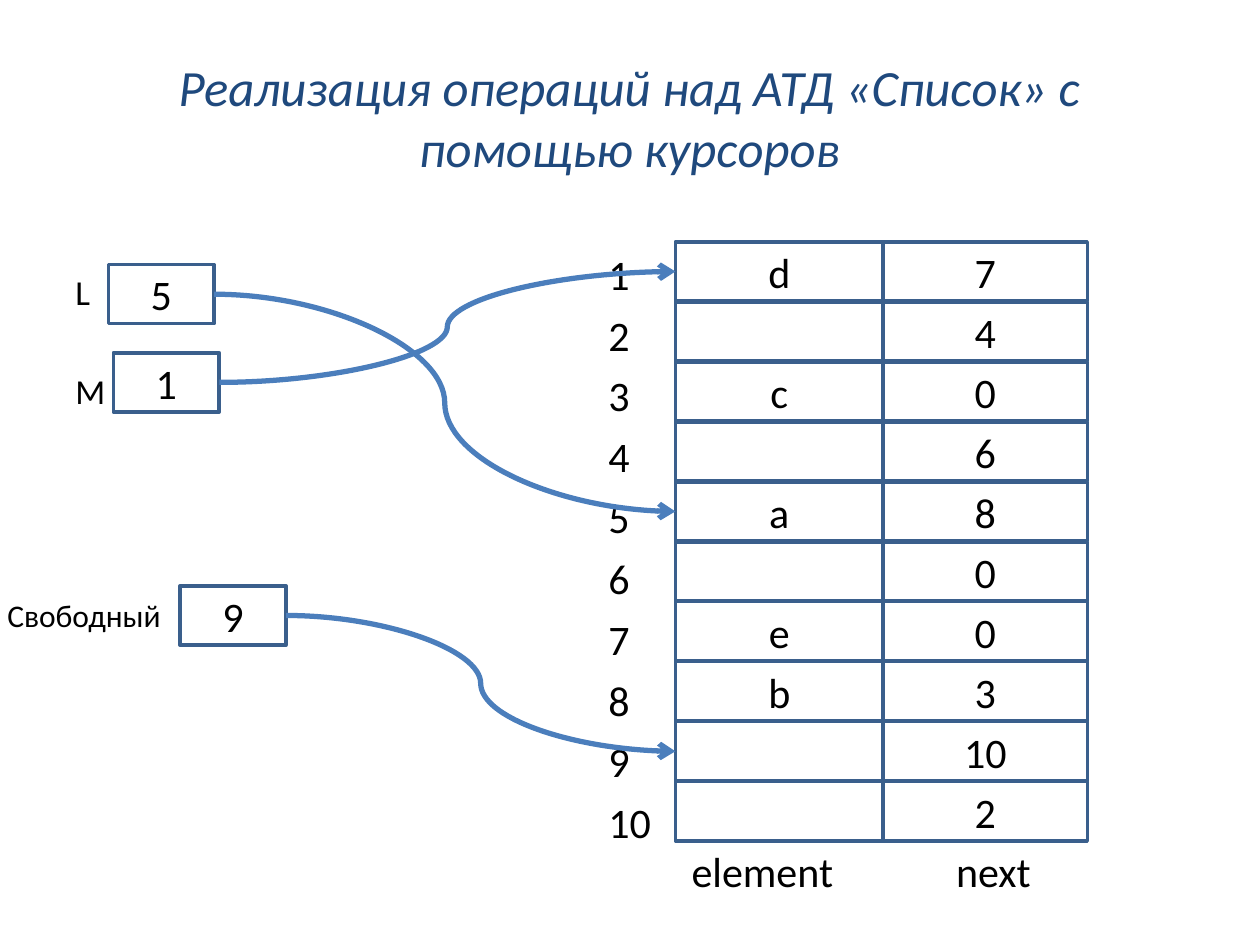
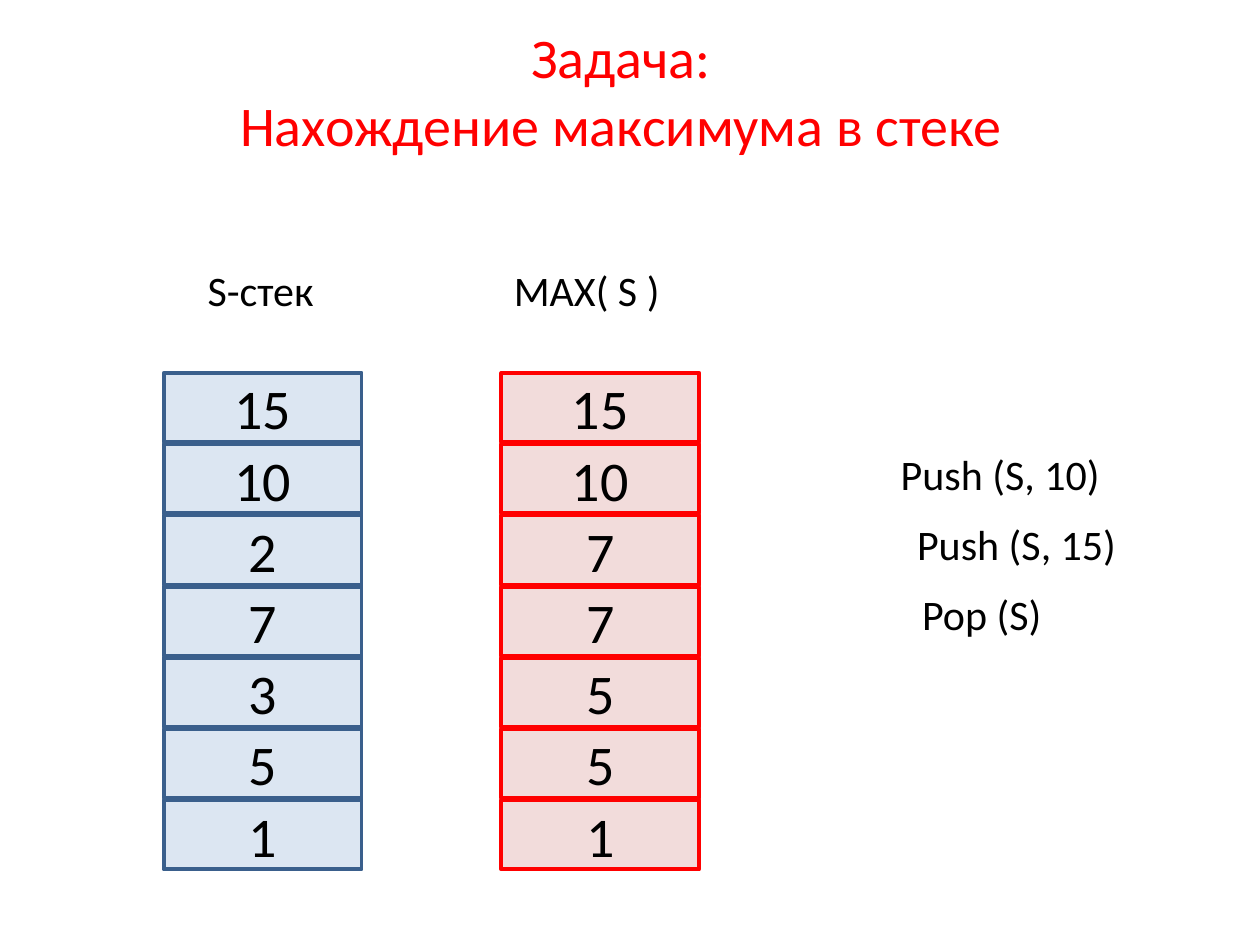
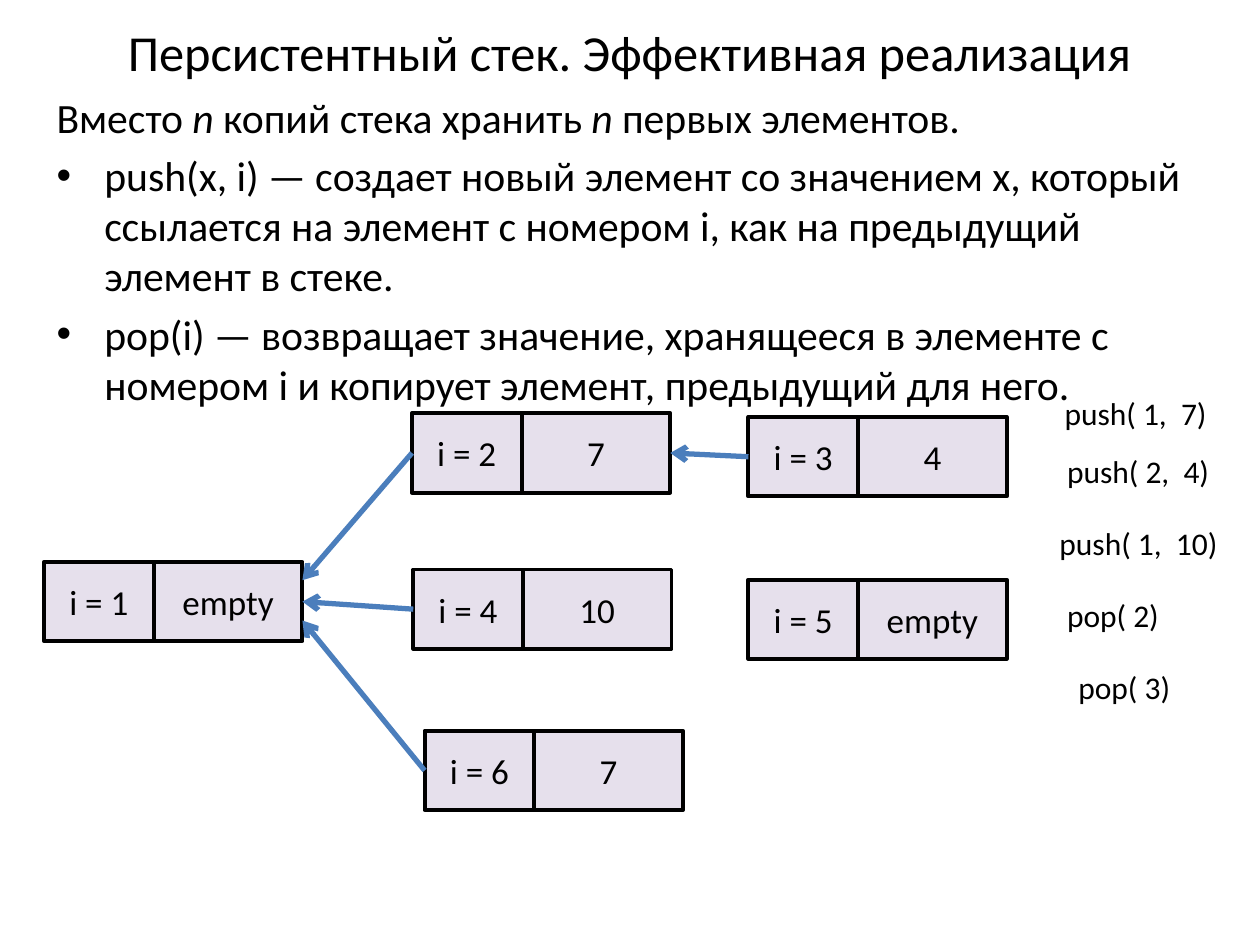
from dataclasses import dataclass

from lxml.etree import SubElement
from pptx import Presentation
from pptx.dml.color import RGBColor
from pptx.enum.shapes import MSO_CONNECTOR as Link, MSO_SHAPE as Form
from pptx.enum.text import MSO_ANCHOR as Anchor, PP_ALIGN as Align
from pptx.oxml.ns import qn
from pptx.util import Inches, Pt

FONT = "Calibri"
BLACK, NAVY, RED = "000000", "1F497D", "FF0000"
EDGE, WIRE = "3A5F8C", "4B7EBC"
ICE, ROSE, LILAC = "DCE6F2", "F2DCDB", "E6E0EC"

Point = tuple[float, float]


@dataclass(frozen=True)
class Look:
    """Outline, fill and text size of a cell."""
    line: str
    width: float
    size: float
    fill: str | None = None


@dataclass(frozen=True)
class Cell:
    x: float
    y: float
    w: float
    h: float
    text: str = ""

    @property
    def left(self) -> Point:
        return self.x, self.y + self.h / 2

    @property
    def right(self) -> Point:
        return self.x + self.w, self.y + self.h / 2


@dataclass(frozen=True)
class Label:
    x: float
    y: float
    w: float
    h: float
    text: str
    size: float


@dataclass(frozen=True)
class Node:
    """A numbered stack element: index cell plus value cell."""
    num: int
    x: float
    y: float
    value: str

    @property
    def cells(self) -> tuple[Cell, Cell]:
        return (Cell(self.x, self.y, 0.87, 0.63, f"i = {self.num}"),
                Cell(self.x + 0.87, self.y, 1.18, 0.63, self.value))


ARRAY = Look(EDGE, 2, 24)
STACK = Look(EDGE, 2.25, 32, ICE)
PEAK = Look(RED, 2.25, 32, ROSE)
NODE = Look(BLACK, 2.25, 20, LILAC)


# Shared helpers
def tint(code: str) -> RGBColor:
    return RGBColor.from_string(code)


def style(frame, size: float, color: str = BLACK, align=Align.LEFT,
          italic: bool = False) -> None:
    for para in frame.paragraphs:
        para.alignment = align
        for run in para.runs:
            run.font.name = FONT
            run.font.size = Pt(size)
            run.font.italic = italic
            run.font.color.rgb = tint(color)


def add_text(slide, label: Label):
    box = slide.shapes.add_textbox(*map(Inches, (label.x, label.y, label.w, label.h)))
    frame = box.text_frame
    frame.word_wrap = True
    frame.text = label.text
    style(frame, label.size)
    return frame


def add_title(slide, label: Label, color: str, italic: bool = False) -> None:
    frame = add_text(slide, label)
    frame.vertical_anchor = Anchor.MIDDLE
    style(frame, label.size, color, Align.CENTER, italic)


def add_cell(slide, cell: Cell, look: Look) -> None:
    box = slide.shapes.add_shape(
        Form.RECTANGLE, *map(Inches, (cell.x, cell.y, cell.w, cell.h)))
    box.shadow.inherit = False
    if look.fill:
        box.fill.solid()
        box.fill.fore_color.rgb = tint(look.fill)
    else:
        box.fill.background()
    box.line.color.rgb = tint(look.line)
    box.line.width = Pt(look.width)
    frame = box.text_frame
    frame.vertical_anchor = Anchor.MIDDLE
    frame.text = cell.text
    style(frame, look.size, align=Align.CENTER)


def add_arrow(slide, start: Point, end: Point, kind=Link.STRAIGHT) -> None:
    wire = slide.shapes.add_connector(kind, *map(Inches, (*start, *end)))
    wire.line.color.rgb = tint(WIRE)
    wire.line.width = Pt(3)
    SubElement(wire.line._get_or_add_ln(), qn("a:tailEnd"), type="arrow")
    SubElement(wire._element.spPr, qn("a:effectLst"))


# Slide 1: list kept in an array with cursors
def draw_list(slide) -> None:
    add_title(slide, Label(0.5, 0.3, 9, 1.25,
              "Реализация операций над АТД «Список» с помощью курсоров", 29),
              NAVY, italic=True)

    rows = [("d", "7"), ("", "4"), ("c", "0"), ("", "6"), ("a", "8"),
            ("", "0"), ("e", "0"), ("b", "3"), ("", "10"), ("", "2")]
    items = []
    for i, (item, link) in enumerate(rows):
        y = 1.92 + 0.476 * i
        items.append(Cell(5.36, y, 1.65, 0.47, item))
        add_cell(slide, items[-1], ARRAY)
        add_cell(slide, Cell(7.01, y, 1.62, 0.47, link), ARRAY)

    nums = "\n".join(str(i + 1) for i in range(len(rows)))
    frame = add_text(slide, Label(4.73, 1.92, 0.62, 4.9, nums, 24))
    for para in frame.paragraphs:
        para.space_before = Pt(6)

    for label in (Label(5.39, 6.66, 1.6, 0.5, "element", 24),
                  Label(7.49, 6.66, 1.2, 0.5, "next", 24),
                  Label(0.5, 2.1, 0.48, 0.44, "L", 20),
                  Label(0.5, 2.88, 0.48, 0.44, "M", 20),
                  Label(-0.04, 4.68, 1.57, 0.4, "Свободный", 18)):
        add_text(slide, label)

    # Each cursor points at the row whose number it holds
    for x, y, row in ((0.86, 2.1, 5), (0.9, 2.8, 1), (1.43, 4.65, 9)):
        head = Cell(x, y, 0.84, 0.47, str(row))
        add_cell(slide, head, ARRAY)
        add_arrow(slide, head.right, items[row - 1].left, Link.CURVE)


# Slide 2: stack and its running maximum
def draw_max(slide) -> None:
    add_title(slide, Label(0.43, 0.29, 9, 0.85,
              "Задача:\vНахождение максимума в стеке", 32), RED)

    for x, look, values in ((1.3, STACK, (15, 10, 2, 7, 3, 5, 1)),
                            (3.98, PEAK, (15, 10, 7, 7, 5, 5, 1))):
        for i, value in enumerate(values):
            add_cell(slide, Cell(x, 2.96 + 0.565 * i, 1.57, 0.55, str(value)), look)

    for x, y, text in ((1.55, 2.05, "S-стек"), (3.98, 2.05, "MAX( S )"),
                       (7.05, 3.51, "Push (S, 10)"), (7.18, 4.07, "Push (S, 15)"),
                       (7.22, 4.62, "Pop (S)")):
        add_text(slide, Label(x, y, 1.97, 0.5, text, 24))


# Slide 3: persistent stack
def add_bullet(para) -> None:
    props = para._p.get_or_add_pPr()
    props.set("marL", str(Inches(0.38)))
    props.set("indent", str(-Inches(0.38)))
    SubElement(props, qn("a:buFont"), typeface="Arial")
    SubElement(props, qn("a:buChar"), char="•")


def draw_tree(slide) -> None:
    add_title(slide, Label(0.5, 0.13, 9, 0.55,
              "Персистентный стек. Эффективная реализация", 28.8), BLACK)

    points = ("push(x, i) — создает новый элемент со значением x, который "
              "ссылается на элемент с номером i, как на предыдущий элемент в стеке.",
              "pop(i) — возвращает значение, хранящееся в элементе с номером i "
              "и копирует элемент, предыдущий для него.")
    frame = add_text(slide, Label(0.35, 0.68, 9.22, 2.2, "\n".join(("", *points)), 23.8))
    intro, *rest = frame.paragraphs
    parts = ("Вместо ", "n ", "копий стека хранить ", "n", " первых элементов.")
    for part in parts:
        intro.add_run().text = part
    style(frame, 23.8)
    for run in intro.runs[1::2]:
        run.font.italic = True
    for para in frame.paragraphs:
        para.space_before = Pt(4.8)
    for para in rest:
        add_bullet(para)

    nodes = (Node(1, 0.35, 4.46, "empty"), Node(2, 3.27, 3.28, "7"),
             Node(3, 5.94, 3.31, "4"), Node(4, 3.28, 4.52, "10"),
             Node(5, 5.94, 4.6, "empty"), Node(6, 3.37, 5.8, "7"))
    for node in nodes:
        for cell in node.cells:
            add_cell(slide, cell, NODE)

    # Links to the previous element, with a vertical shift at the tip
    for src, dest, shift in ((2, 1, -0.17), (3, 2, 0), (4, 1, 0), (6, 1, 0.15)):
        x, y = nodes[dest - 1].cells[1].right
        add_arrow(slide, nodes[src - 1].cells[0].left, (x, y + shift))

    for x, y, text in ((8.35, 3.08, "push( 1,  7)"), (8.37, 3.54, "push( 2,  4)"),
                       (8.31, 4.11, "push( 1,  10)"), (8.37, 4.68, "pop( 2)"),
                       (8.46, 5.25, "pop( 3)")):
        add_text(slide, Label(x, y, 1.51, 0.4, text, 18))


def main() -> None:
    deck = Presentation()
    deck.slide_width, deck.slide_height = Inches(10), Inches(7.5)
    for draw in (draw_list, draw_max, draw_tree):
        draw(deck.slides.add_slide(deck.slide_layouts[6]))
    deck.save("out.pptx")


if __name__ == "__main__":
    main()
